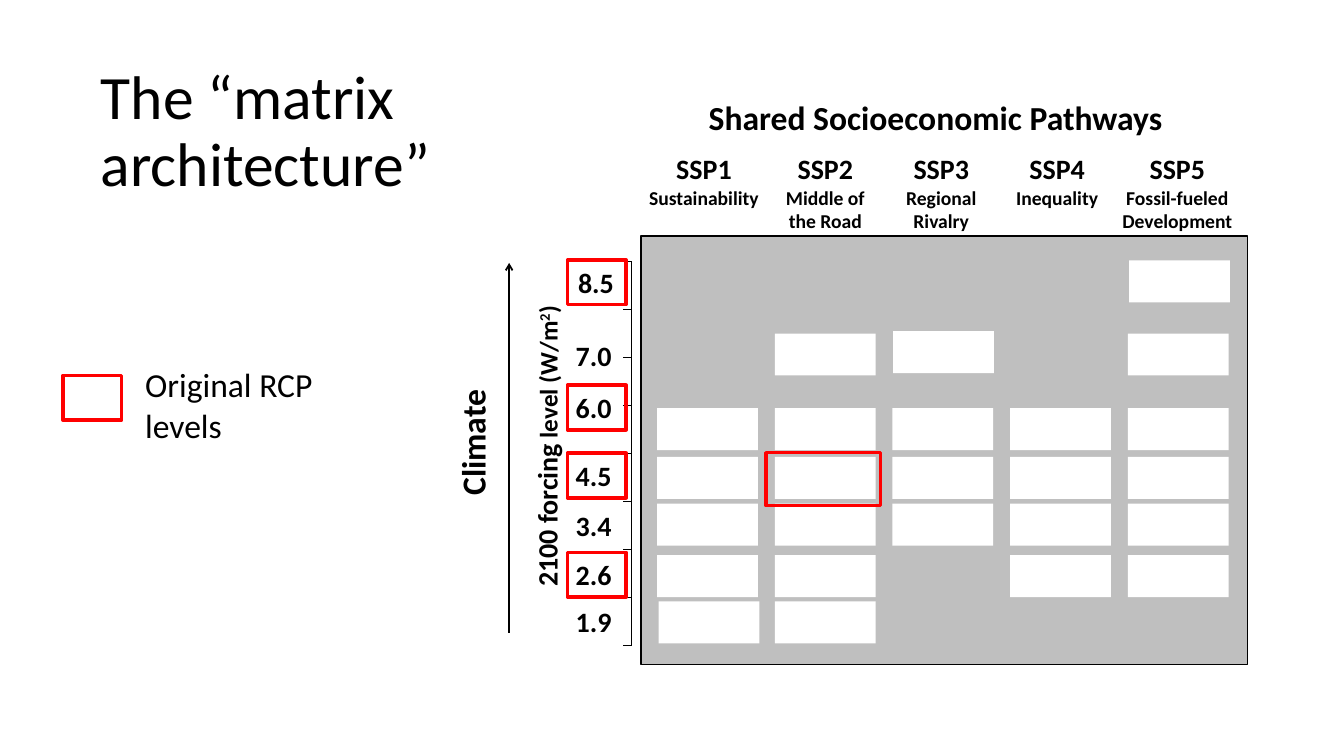
from pptx import Presentation
from pptx.dml.color import RGBColor
from pptx.enum.shapes import MSO_CONNECTOR, MSO_SHAPE
from pptx.enum.text import MSO_ANCHOR, MSO_AUTO_SIZE, PP_ALIGN
from pptx.oxml.ns import qn
from pptx.util import Pt
from lxml.etree import SubElement

COLORS = {"ink": "000000", "panel": "BFBFBF", "cell": "FFFFFF", "rcp": "FF0000"}
FONT = "Calibri"

# Name, description lines, centre of the heading from the left of the matrix
PATHWAYS = [
    ("SSP1", ["Sustainability"], 54),
    ("SSP2", ["Middle of", "the Road"], 158),
    ("SSP3", ["Regional", "Rivalry"], 257.4),
    ("SSP4", ["Inequality"], 356.7),
    ("SSP5", ["Fossil-fueled", "Development"], 459.7),
]
# Level, label top and cell top from the top of the matrix, pathways with a scenario
LEVELS = [
    ("8.5", 21.6, 21, [5]),
    ("7.0", 84.3, 83.6, [2, 3, 5]),
    ("6.0", 128.9, 147.5, [1, 2, 3, 4, 5]),
    ("4.5", 187.2, 189.4, [1, 2, 3, 4, 5]),
    ("3.4", 229.7, 229.5, [1, 2, 3, 4, 5]),
    ("2.6", 272.2, 273.6, [1, 2, 4, 5]),
    ("1.9", 312.5, 313.2, [1, 2]),
]
RCP_LEVELS = {"8.5", "6.0", "4.5", "2.6"}
RCP_SIZE = (50.4, 38.2)
CELL_NUDGES = {("8.5", 5): (1, 0), ("7.0", 3): (0.5, -2), ("1.9", 1): (1.4, 0)}


def rgb(name):
    return RGBColor.from_string(COLORS[name])


def add_rect(slide, x, y, w, h, fill=None, line=None, width=1):
    sp = slide.shapes.add_shape(MSO_SHAPE.RECTANGLE, Pt(x), Pt(y), Pt(w), Pt(h))
    sp.shadow.inherit = False
    if fill:
        sp.fill.solid()
        sp.fill.fore_color.rgb = rgb(fill)
    else:
        sp.fill.background()
    if line:
        sp.line.color.rgb = rgb(line)
        sp.line.width = Pt(width)
    else:
        sp.line.fill.background()


def add_line(slide, x1, y1, x2, y2, width, arrow=False):
    cn = slide.shapes.add_connector(MSO_CONNECTOR.STRAIGHT, Pt(x1), Pt(y1), Pt(x2), Pt(y2))
    cn.line.color.rgb = rgb("ink")
    cn.line.width = Pt(width)
    if arrow:
        SubElement(cn.line._get_or_add_ln(), qn("a:tailEnd"), type="arrow")
    SubElement(cn._element.spPr, qn("a:effectLst"))


def add_run(p, text, size, bold=True):
    r = p.add_run()
    r.text = text
    r.font.name = FONT
    r.font.size = Pt(size)
    r.font.bold = bold
    r.font.color.rgb = rgb("ink")
    return r


def add_text(slide, x, y, w, h, wrap=False):
    """Add an empty text box and return it with its first paragraph."""
    sp = slide.shapes.add_textbox(Pt(x), Pt(y), Pt(w), Pt(h))
    tf = sp.text_frame
    tf.word_wrap = wrap
    tf.auto_size = MSO_AUTO_SIZE.SHAPE_TO_FIT_TEXT
    return sp, tf.paragraphs[0]


def add_title(slide, x, y, w, h):
    sp = slide.shapes.title
    sp.left, sp.top, sp.width, sp.height = Pt(x), Pt(y), Pt(w), Pt(h)
    tf = sp.text_frame
    tf.word_wrap = True
    tf.auto_size = MSO_AUTO_SIZE.NONE
    tf.vertical_anchor = MSO_ANCHOR.MIDDLE
    p = tf.paragraphs[0]
    p.alignment = PP_ALIGN.LEFT
    p.line_spacing = 0.9
    add_run(p, "The “matrix architecture”", 52.8, bold=False)


def add_headings(slide, x, y):
    """Place the pathway headings above a matrix whose top left is x, y."""
    _, p = add_text(slide, x + 51, y - 123, 407.5, 42.5)
    add_run(p, "Shared Socioeconomic Pathways", 28.8)
    width = 110
    for name, lines, centre in PATHWAYS:
        height = 36.5 + 20.4 * len(lines)
        _, p = add_text(slide, x + centre - width / 2, y - 75.6, width, height)
        p.alignment = PP_ALIGN.CENTER
        add_run(p, name, 24)
        for line in lines:
            p.add_line_break()
            add_run(p, line, 16.8)


def add_axis(slide, x, y):
    """Place the climate axis to the left of a matrix whose top left is x, y."""
    sp, p = add_text(slide, x - 165.6, y + 130.3, 49.7, 99.4)
    sp.text_frame._txBody.bodyPr.set("vert", "vert270")
    add_run(p, "Climate", 28.8)
    add_line(slide, x - 113, y + 339.9, x - 113, y + 23.1, 1.5, arrow=True)

    sp, p = add_text(slide, x - 210.3, y + 160.6, 258.5, 36)
    sp.rotation = 270
    add_run(p, "2100 forcing", 24)
    add_run(p, " level (W/m", 21.6)
    add_run(p, "2", 21.6).font._element.set("baseline", "30000")
    add_run(p, ")", 21.6)

    spine, top, step, intervals = x - 8, y + 21.6, 41.13, 8
    add_line(slide, spine, top, spine, top + intervals * step, 0.5)
    for i in range(intervals + 1):
        add_line(slide, spine, top + i * step, spine - 7.2, top + i * step, 0.5)

    for level, label_top, _, _ in LEVELS:
        shift = 2 if level == "8.5" else 0
        _, p = add_text(slide, x - 63 + shift, y + label_top, 45.4, 36)
        add_run(p, level, 24)
        if level in RCP_LEVELS:
            add_rect(slide, x - 63, y + label_top - 1, *RCP_SIZE, line="rcp", width=3)


def add_matrix(slide, x, y, w, h):
    add_rect(slide, x, y, w, h, fill="panel", line="ink")
    for level, _, cell_top, pathways in LEVELS:
        for n in pathways:
            dx, dy = CELL_NUDGES.get((level, n), (0, 0))
            left = x + 13.8 + (n - 1) * 100.9
            add_rect(slide, left + dx, y + cell_top + dy, 86.4, 36, fill="cell")
    add_rect(slide, x + 107.3, y + 185.8, 97.9, 45.4, line="rcp", width=3)


def add_legend(slide, x, y):
    add_rect(slide, x, y, *RCP_SIZE, line="rcp", width=3)
    _, p = add_text(slide, x + 63.4, y - 13, 182.9, 77, wrap=True)
    add_run(p, "Original RCP levels", 28.8, bold=False)


def main():
    prs = Presentation()
    prs.slide_width, prs.slide_height = Pt(1152), Pt(648)
    slide = prs.slides.add_slide(prs.slide_layouts[5])
    left, top = 549.4, 202.3
    add_title(slide, 79.2, 34.6, 303.1, 159.1)
    add_matrix(slide, left, top, 519.8, 367.2)
    add_headings(slide, left, top)
    add_axis(slide, left, top)
    add_legend(slide, 54, 321.8)
    prs.save("out.pptx")


if __name__ == "__main__":
    main()
